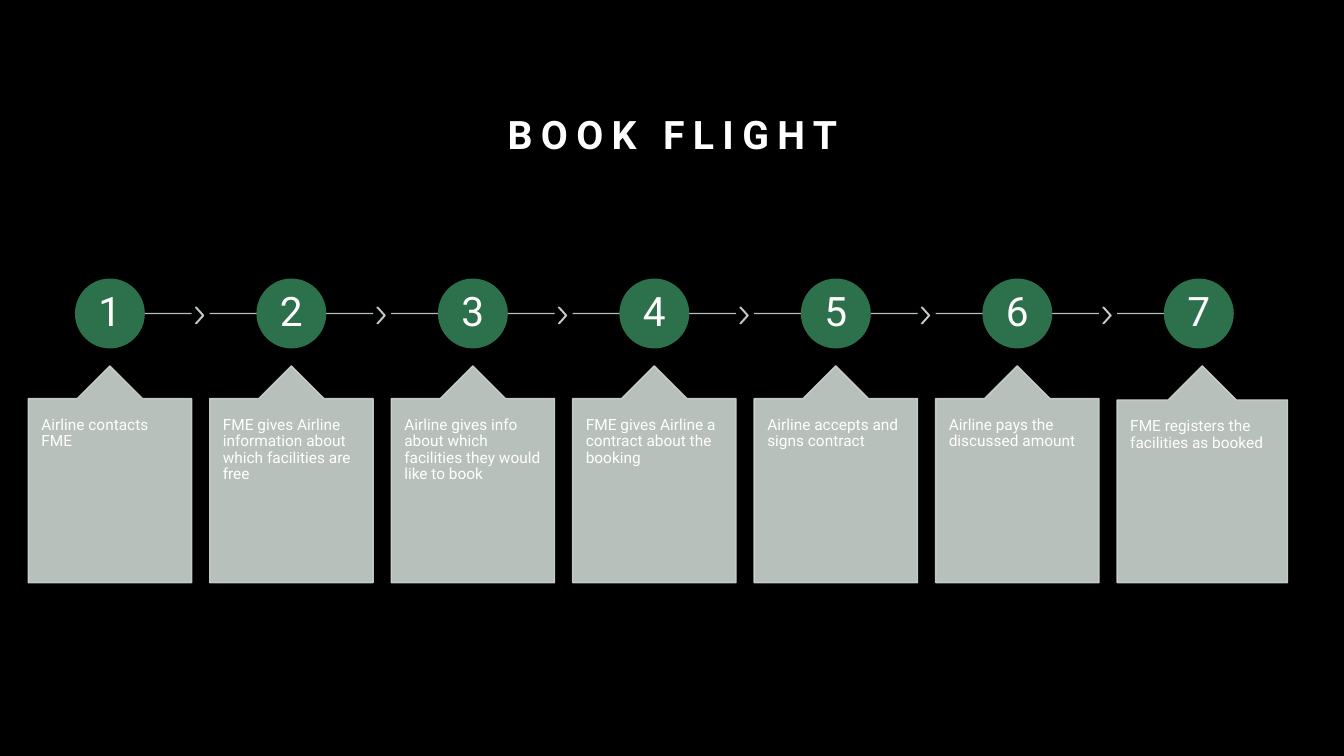
"""Build the seven-step "Book flight" process slide."""
from lxml import etree
from pptx import Presentation
from pptx.dml.color import RGBColor
from pptx.enum.shapes import MSO_CONNECTOR, MSO_SHAPE
from pptx.enum.text import MSO_ANCHOR, PP_ALIGN
from pptx.oxml.ns import qn
from pptx.util import Inches, Pt

STRAIGHT = MSO_CONNECTOR.STRAIGHT
CHEVRON, OVAL, CALLOUT = MSO_SHAPE.CHEVRON, MSO_SHAPE.OVAL, MSO_SHAPE.UP_ARROW_CALLOUT
TOP, MIDDLE, BOTTOM = MSO_ANCHOR.TOP, MSO_ANCHOR.MIDDLE, MSO_ANCHOR.BOTTOM
LEFT, CENTER = PP_ALIGN.LEFT, PP_ALIGN.CENTER

TITLE = "BOOK FLIGHT"
STEPS = [
    "Airline contacts FME",
    "FME gives Airline information about which facilities are free",
    "Airline gives info about which facilities they would like to book",
    "FME gives Airline a contract about the booking",
    "Airline accepts and signs contract",
    "Airline pays the discussed amount",
    "FME registers the facilities as booked",
]

THEME = {
    "font": "Roboto",
    "background": RGBColor(0x00, 0x00, 0x00),
    "text": RGBColor(0xFF, 0xFF, 0xFF),
    "circle": RGBColor(0x2D, 0x71, 0x4C),
    "pale": RGBColor(0xCD, 0xD5, 0xD0),
    "pale_alpha": 90,
    "title_size": 28,
    "number_size": 29,
    "step_size": 11,
    "title_spacing": 6,
    "line": 1,
}

FIRST_LEFT, PITCH = 0.28, 1.8
STEP_WIDTH, LAST_WIDTH = 1.62, 1.69
CALLOUT_TOP, CALLOUT_HEIGHT = 3.63, 2.15
CIRCLE_TOP, CIRCLE_SIZE = 2.77, 0.68
TRACK_Y = CIRCLE_TOP + CIRCLE_SIZE / 2
CHEVRON_GAP, CHEVRON_TOP, CHEVRON_WIDTH, CHEVRON_HEIGHT = 0.04, 3.05, 0.08, 0.16


def make_translucent(part):
    """Apply the pale alpha to every solid colour of a part."""
    for colour in part._element.spPr.iter(qn("a:srgbClr")):
        etree.SubElement(colour, qn("a:alpha")).set("val", str(THEME["pale_alpha"] * 1000))


def write(part, text, size, align, anchor, insets, spacing):
    """Set and format the single paragraph of a part."""
    frame = part.text_frame
    frame.text = text
    frame.word_wrap = True
    frame.vertical_anchor = anchor
    side, end = map(Inches, insets)
    frame.margin_left = frame.margin_right = side
    frame.margin_top = frame.margin_bottom = end
    paragraph = frame.paragraphs[0]
    paragraph.alignment = align
    paragraph.line_spacing = spacing
    font = paragraph.runs[0].font
    font.name, font.size = THEME["font"], Pt(size)
    font.color.rgb = THEME["text"]
    return font


def add_part(slide, preset, box, colour, adjustments=()):
    """Add a filled and outlined preset shape."""
    part = slide.shapes.add_shape(preset, *map(Inches, box))
    part.shadow.inherit = False
    part.fill.solid()
    part.fill.fore_color.rgb = part.line.color.rgb = colour
    part.line.width = Pt(THEME["line"])
    for index, value in enumerate(adjustments):
        part.adjustments[index] = value
    return part


def add_track(slide, start, end):
    """Add the horizontal line running behind a circle."""
    track = slide.shapes.add_connector(
        STRAIGHT, Inches(start), Inches(TRACK_Y), Inches(end), Inches(TRACK_Y))
    track.line.color.rgb = THEME["pale"]
    track.line.width = Pt(THEME["line"])
    etree.SubElement(track._element.spPr, qn("a:effectLst"))
    make_translucent(track)


def add_step(slide, index, text):
    """Add the track, chevron, numbered circle and callout of a step."""
    is_first, is_last = index == 0, index == len(STEPS) - 1
    left = FIRST_LEFT + index * PITCH
    center, right = left + STEP_WIDTH / 2, left + STEP_WIDTH
    add_track(slide, center if is_first else left, center if is_last else right)
    if not is_last:
        box = (right + CHEVRON_GAP, CHEVRON_TOP, CHEVRON_WIDTH, CHEVRON_HEIGHT)
        make_translucent(add_part(slide, CHEVRON, box, THEME["pale"], (0.9,)))

    box = (center - CIRCLE_SIZE / 2, CIRCLE_TOP, CIRCLE_SIZE, CIRCLE_SIZE)
    circle = add_part(slide, OVAL, box, THEME["circle"])
    write(circle, str(index + 1), THEME["number_size"], CENTER, MIDDLE, (0.03, 0.03), 0.9)

    box = (left, CALLOUT_TOP, LAST_WIDTH if is_last else STEP_WIDTH, CALLOUT_HEIGHT)
    callout = add_part(slide, CALLOUT, box, THEME["pale"], (0.5, 0.2, 0.2, 1))
    make_translucent(callout)
    write(callout, text, THEME["step_size"], LEFT, TOP, (0.13, 0.18), 0.9)


def main():
    deck = Presentation()
    deck.slide_width, deck.slide_height = Inches(13.33), Inches(7.5)
    slide = deck.slides.add_slide(deck.slide_layouts[6])
    slide.background.fill.solid()
    slide.background.fill.fore_color.rgb = THEME["background"]

    heading = slide.shapes.add_textbox(*map(Inches, (1.62, 0.67, 10.1, 0.94)))
    font = write(heading, TITLE, THEME["title_size"], CENTER, BOTTOM, (0.1, 0.05), 1.2)
    font.bold = True
    font._element.set("spc", str(THEME["title_spacing"] * 100))

    for index, text in enumerate(STEPS):
        add_step(slide, index, text)
    deck.save("out.pptx")


if __name__ == "__main__":
    main()
